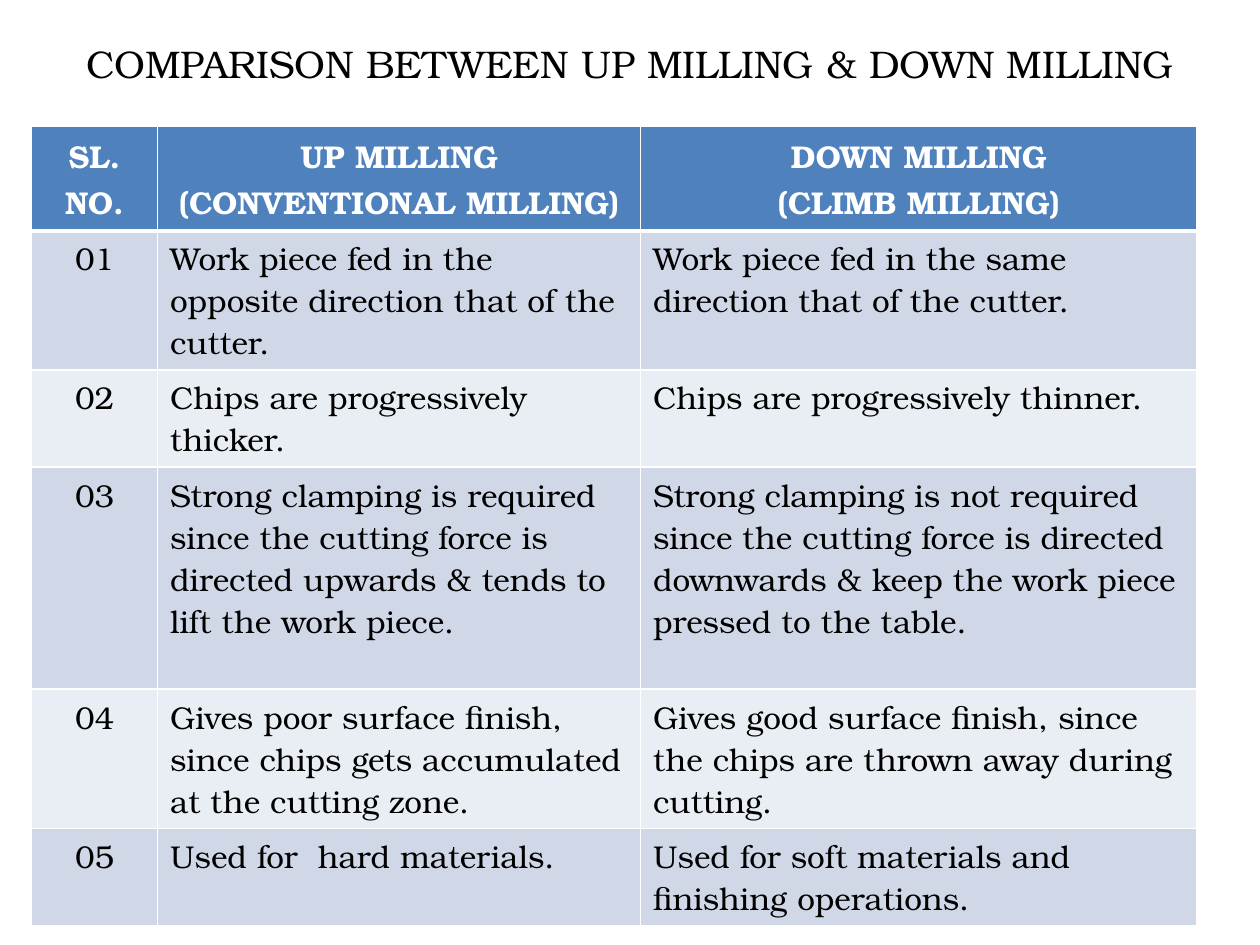
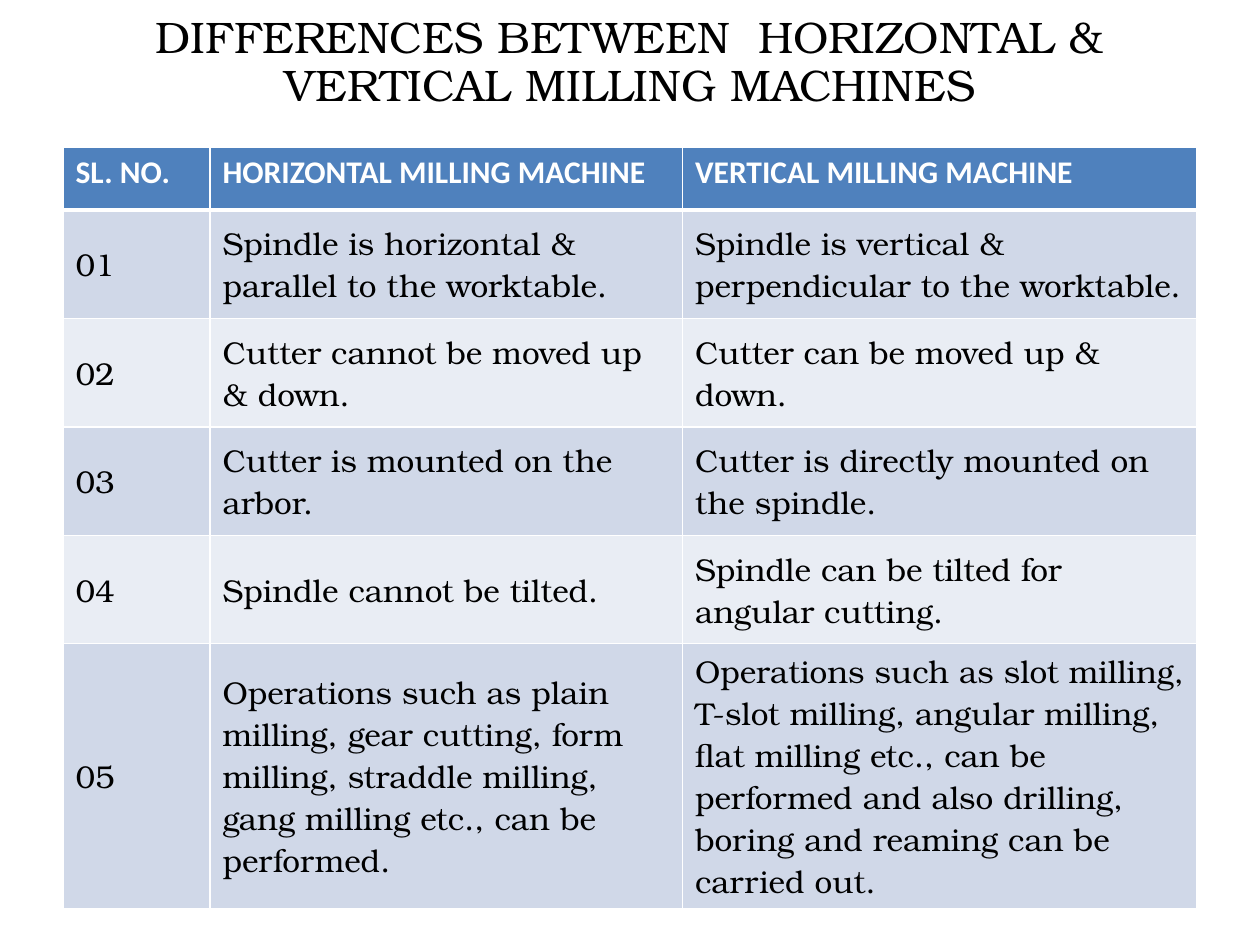
import pptx
import pptx.dml.color
import pptx.enum.text
import pptx.oxml
import pptx.oxml.ns
import pptx.util

RGB = pptx.dml.color.RGBColor
ALIGN = pptx.enum.text.PP_ALIGN
ANCHOR = pptx.enum.text.MSO_ANCHOR

BLACK = RGB(0x00, 0x00, 0x00)
WHITE = RGB(0xFF, 0xFF, 0xFF)
HEADER_BLUE = RGB(0x4F, 0x81, 0xBD)
BANDS = (RGB(0xD0, 0xD8, 0xE8), RGB(0xE9, 0xED, 0xF4))

SERIF = "TeX Gyre Bonum"
SANS = "Calibri"
BODY_FONT = {"name": SERIF, "size": pptx.util.Pt(18), "bold": False}
HEADER_FONT = BODY_FONT | {"bold": True}

GRID_COLUMNS, GRID_ROWS = 120, 90
TITLE_ONLY = 5

UP_DOWN_ROWS = [
    ("SL. NO.", "UP MILLING\n(CONVENTIONAL MILLING)", "DOWN MILLING\n(CLIMB MILLING)"),
    ("01", "Work piece fed in the opposite direction that of the cutter.",
     "Work piece fed in the same direction that of the cutter."),
    ("02", "Chips are progressively thicker.", "Chips are progressively thinner."),
    ("03", "Strong clamping is required since the cutting force is directed upwards "
           "& tends to lift the work piece.",
     "Strong clamping is not required since the cutting force is directed downwards "
     "& keep the work piece pressed to the table."),
    ("04", "Gives poor surface finish, since chips gets accumulated at the cutting zone.",
     "Gives good surface finish, since the chips are thrown away during cutting."),
    ("05", "Used for  hard materials.", "Used for soft materials and finishing operations."),
]

MACHINE_ROWS = [
    ("SL. NO.", "HORIZONTAL MILLING MACHINE", "VERTICAL MILLING MACHINE"),
    ("01", "Spindle is horizontal & parallel to the worktable.",
     "Spindle is vertical & perpendicular to the worktable."),
    ("02", "Cutter cannot be moved up & down.", "Cutter can be moved up & down."),
    ("03", "Cutter is mounted on the arbor.", "Cutter is directly mounted on the spindle."),
    ("04", "Spindle cannot be tilted.", "Spindle can be tilted for angular cutting."),
    ("05", "Operations such as plain milling, gear cutting, form milling, straddle milling, "
           "gang milling etc., can be performed.",
     "Operations such as slot milling, T-slot milling, angular milling, flat milling etc., "
     "can be performed and also drilling, boring and reaming can be carried out."),
]


def set_values(target, values):
    for name, value in values.items():
        setattr(target, name, value)


class ComparisonDeck:
    """Holds the shared style and the slide being built; lengths are grid units."""

    def __init__(self):
        self.deck = pptx.Presentation()
        self.deck.slide_width = pptx.util.Inches(10)
        self.deck.slide_height = pptx.util.Inches(7.5)
        self.slide = None

    def across(self, columns):
        return round(self.deck.slide_width * columns / GRID_COLUMNS)

    def down(self, rows):
        return round(self.deck.slide_height * rows / GRID_ROWS)

    def add_slide(self):
        self.slide = self.deck.slides.add_slide(self.deck.slide_layouts[TITLE_ONLY])

    def fill_text(self, frame, text, font, color, align):
        frame.text = text
        for para in frame.paragraphs:
            para.alignment = align
            for span in para.runs:
                set_values(span.font, font)
                span.font.color.rgb = color

    def title(self, text, size, line_spacing=1.0):
        box = self.slide.shapes.title
        set_values(box, {"left": self.across(6), "top": 0,
                         "width": self.across(108), "height": self.down(12)})
        frame = box.text_frame
        set_values(frame, {"word_wrap": True, "vertical_anchor": ANCHOR.MIDDLE,
                           "auto_size": pptx.enum.text.MSO_AUTO_SIZE.NONE})
        title_font = {"name": SERIF, "size": pptx.util.Pt(size)}
        self.fill_text(frame, text, title_font, BLACK, ALIGN.CENTER)
        frame.paragraphs[0].line_spacing = line_spacing

    def borders(self, cell, bottom, top):
        """White cell edges, with widths in points."""
        properties = cell._tc.get_or_add_tcPr()
        for side, width in (("L", 1), ("R", 1), ("T", top), ("B", bottom)):
            properties.append(pptx.oxml.parse_xml(
                f'<a:ln{side} {pptx.oxml.ns.nsdecls("a")} w="{pptx.util.Pt(width)}">'
                f'<a:solidFill><a:srgbClr val="{WHITE}"/></a:solidFill></a:ln{side}>'))

    def table(self, left, top, widths, heights, rows, header_font=HEADER_FONT,
              header_align=ALIGN.LEFT, number_align=ALIGN.LEFT, body_anchor=ANCHOR.TOP):
        frame = self.slide.shapes.add_table(
            len(rows), len(widths), self.across(left), self.down(top),
            self.across(sum(widths)), self.down(sum(heights)))
        table = frame.table
        for column, width in zip(table.columns, widths):
            column.width = self.across(width)
        for row, height in zip(table.rows, heights):
            row.height = self.down(height)
        for r, texts in enumerate(rows):
            for c, text in enumerate(texts):
                cell = table.cell(r, c)
                self.borders(cell, bottom=3 if r == 0 else 1, top=3 if r == 1 else 1)
                cell.fill.solid()
                if r == 0:
                    cell.fill.fore_color.rgb = HEADER_BLUE
                    cell.vertical_anchor = ANCHOR.TOP
                    self.fill_text(cell.text_frame, text, header_font, WHITE, header_align)
                else:
                    cell.fill.fore_color.rgb = BANDS[(r - 1) % 2]
                    cell.vertical_anchor = body_anchor
                    align = number_align if c == 0 else ALIGN.LEFT
                    self.fill_text(cell.text_frame, text, BODY_FONT, BLACK, align)


def main():
    page = ComparisonDeck()

    page.add_slide()
    page.title("COMPARISON BETWEEN UP MILLING & DOWN MILLING", 22)
    page.table(3, 12, (12, 46, 53), (10, 13.25, 9.25, 21.15, 13.25, 9.25), UP_DOWN_ROWS,
               header_align=ALIGN.CENTER, number_align=ALIGN.CENTER)

    page.add_slide()
    page.title("DIFFERENCES BETWEEN  HORIZONTAL & VERTICAL MILLING MACHINES", 25.2, 0.9)
    page.table(6, 14, (14, 45, 49), (6, *[10.33] * 4, 25.2), MACHINE_ROWS,
               header_font=HEADER_FONT | {"name": SANS}, body_anchor=ANCHOR.MIDDLE)

    page.deck.save("out.pptx")


if __name__ == "__main__":
    main()
